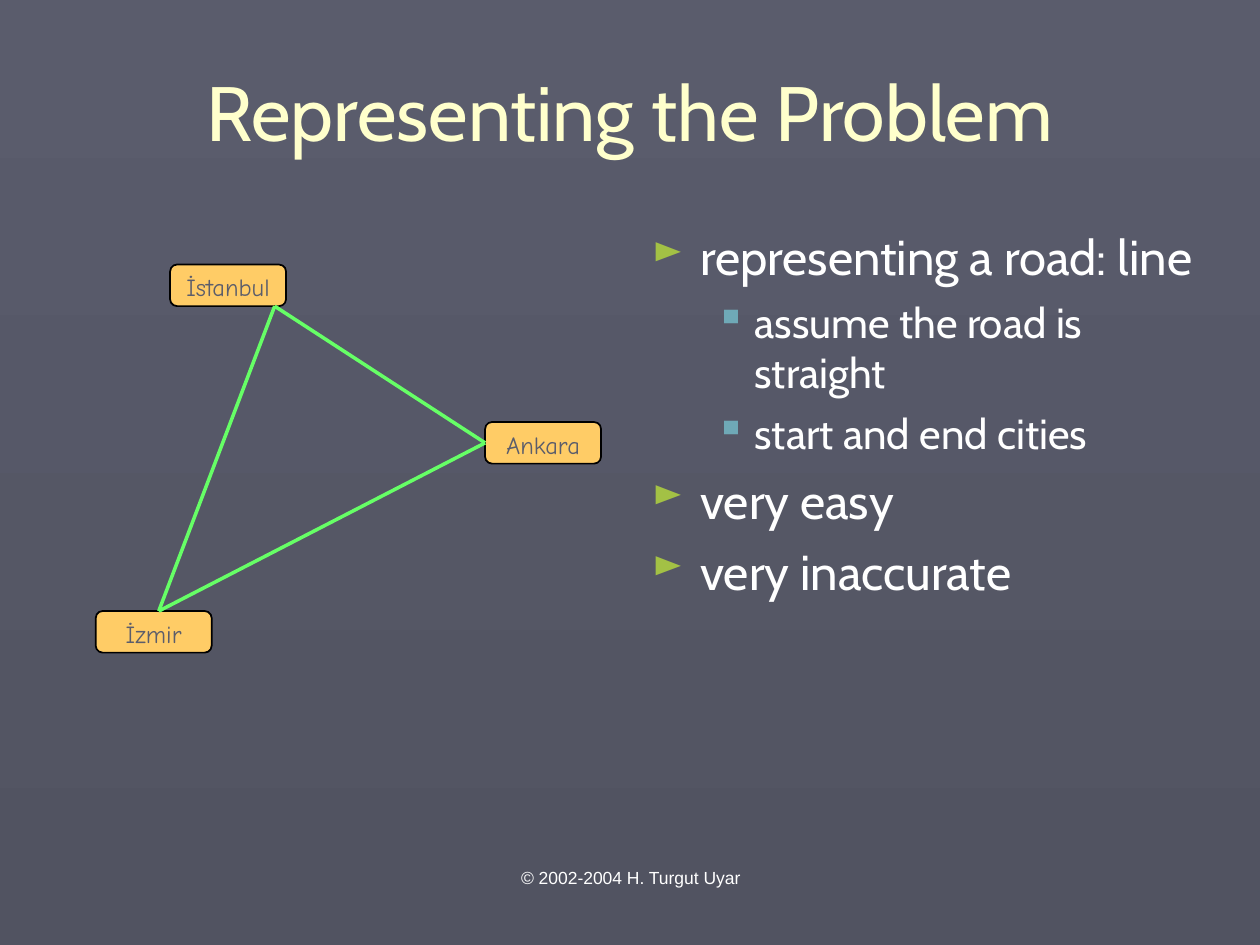
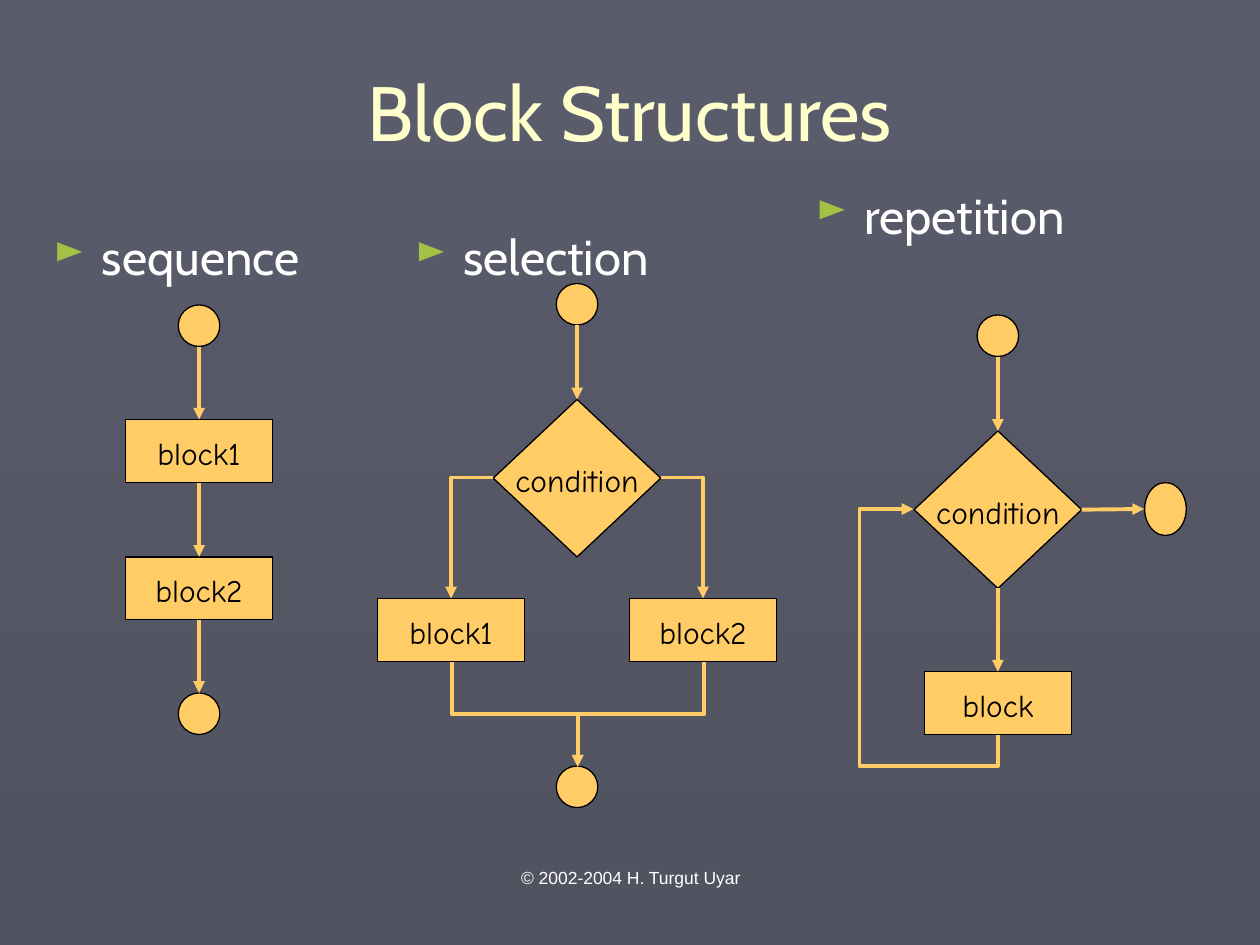
"""Builds two slides: a road map of cities and the three block structures."""
from lxml import etree
from pptx import Presentation
from pptx.dml.color import RGBColor
from pptx.enum import shapes, text
from pptx.oxml import ns
from pptx.util import Inches, Pt

hue = RGBColor.from_string
GOLD, GREEN, WHITE, BLACK = "FFCC66", "66FF66", "FFFFFF", "000000"
MID, TOP = text.MSO_ANCHOR.MIDDLE, text.MSO_ANCHOR.TOP
CENTER, LEFT = text.PP_ALIGN.CENTER, text.PP_ALIGN.LEFT
SHAPE, LINE = shapes.MSO_SHAPE, shapes.MSO_CONNECTOR

HEAD = dict(font="Cabin", size=44, color="FFFFCC", anchor=MID, align=CENTER)
FOOT = dict(font="Arial", size=10, color=WHITE, anchor=TOP, align=CENTER)
BODY = dict(font="Cabin", size=28, color=WHITE, anchor=TOP, align=LEFT)
CITY = dict(font="Comic Neue", size=14, color="5B5D6B", anchor=MID,
            align=CENTER, wrap=False, space=1.1)
NODE = {**CITY, "size": 18, "color": BLACK}
MARKS = [
    dict(size=28, before=7, left=0.38, hang=0.38, char="►", tint="A3C145", pct=80),
    dict(size=24, before=6, left=0.81, hang=0.31, char="▪", tint="6FA9B7", pct=100),
]


def write(box, rows, fmt, marks=None):
    frame = box.text_frame
    for key, val in dict(word_wrap=fmt.get("wrap", True),
                         vertical_anchor=fmt["anchor"]).items():
        setattr(frame, key, val)
    for num, (words, level) in enumerate(rows):
        para = frame.add_paragraph() if num else frame.paragraphs[0]
        size = fmt["size"]
        if marks:
            mark = marks[level]
            size = mark["size"]
            props = para._p.get_or_add_pPr()
            props.set("marL", str(Inches(mark["left"])))
            props.set("indent", str(-Inches(mark["hang"])))
            tint = etree.SubElement(props, ns.qn("a:buClr"))
            etree.SubElement(tint, ns.qn("a:srgbClr"), val=mark["tint"])
            etree.SubElement(props, ns.qn("a:buSzPct"), val=str(mark["pct"] * 1000))
            etree.SubElement(props, ns.qn("a:buChar"), char=mark["char"])
            para.level = level
            if num:
                para.space_before = Pt(mark["before"])
        para.alignment = fmt["align"]
        if "space" in fmt:
            para.line_spacing = fmt["space"]
        run = para.add_run()
        run.text = words
        for key, val in dict(name=fmt["font"], size=Pt(size)).items():
            setattr(run.font, key, val)
        run.font.color.rgb = hue(fmt["color"])


def link(page, kind, start, end, color, width, arrow=True):
    wire = page.shapes.add_connector(kind, *map(Inches, (*start, *end)))
    wire.line.color.rgb = hue(color)
    wire.line.width = Pt(width)
    if arrow:
        etree.SubElement(wire.line._get_or_add_ln(), ns.qn("a:tailEnd"), type="triangle")
    etree.SubElement(wire._element.spPr, ns.qn("a:effectLst"))
    return wire


deck = Presentation()
deck.slide_width, deck.slide_height = Inches(10), Inches(7.5)

pages = []
for title in ("Representing the Problem", "Block Structures"):
    page = deck.slides.add_slide(deck.slide_layouts[6])
    fill = page.background.fill
    fill.gradient()
    fill.gradient_angle = 270
    for stop, color, place in zip(fill.gradient_stops, ("5A5C6C", "515361"), (0, 1)):
        stop.color.rgb = hue(color)
        stop.position = place
    for words, spot, fmt in (
        (title, (0.33, 0.25, 9.34, 1.25), HEAD),
        ("© 2002-2004 H. Turgut Uyar", (3.42, 6.83, 3.17, 0.52), FOOT),
    ):
        write(page.shapes.add_textbox(*map(Inches, spot)), [(words, 0)], fmt)
    pages.append(page)
roads, flow = pages

points = [
    ("representing a road: line", 0),
    ("assume the road is straight", 1),
    ("start and end cities", 1),
    ("very easy", 0),
    ("very inaccurate", 0),
]
for page, spot, rows in (
    (roads, (5.08, 1.75, 4.59, 4.92), points),
    (flow, (0.33, 1.75, 3.21, 0.73), [("sequence", 0)]),
    (flow, (3.2, 1.75, 3.22, 0.81), [("selection", 0)]),
    (flow, (6.38, 1.42, 3.12, 0.75), [("repetition", 0)]),
):
    write(page.shapes.add_textbox(*map(Inches, spot)), rows, BODY, MARKS)

towns = {}
for name, left, top in (("İstanbul", 1.35, 2.1), ("Ankara", 3.85, 3.35), ("İzmir", 0.76, 4.85)):
    town = roads.shapes.add_shape(SHAPE.ROUNDED_RECTANGLE,
                                  *map(Inches, (left, top, 0.92, 0.33)))
    town.shadow.inherit = False
    town.fill.solid()
    town.fill.fore_color.rgb = hue(GOLD)
    town.line.color.rgb = hue(BLACK)
    town.line.width = Pt(1)
    write(town, [(name, 0)], CITY)
    towns[name] = town

north, east, south = (2.18, 2.43), (3.85, 3.51), (1.26, 4.85)
for start, end in ((north, east), (south, east), (north, south)):
    road = link(roads, LINE.STRAIGHT, start, end, GREEN, 2, False)
    if end == east:
        road.end_connect(towns["Ankara"], 1)

kinds = {
    "dot": (SHAPE.OVAL, 0.33, 0.33),
    "exit": (SHAPE.OVAL, 0.33, 0.42),
    "box": (SHAPE.RECTANGLE, 1.17, 0.5),
    "test": (SHAPE.DIAMOND, 1.33, 1.25),
}
nodes = {}
for key, kind, mid, top, label in (
    ("start1", "dot", 1.58, 2.42, ""),
    ("first", "box", 1.58, 3.33, "block1"),
    ("second", "box", 1.58, 4.42, "block2"),
    ("end1", "dot", 1.58, 5.5, ""),
    ("start2", "dot", 4.58, 2.25, ""),
    ("choice", "test", 4.58, 3.17, "condition"),
    ("yes", "box", 3.58, 4.75, "block1"),
    ("no", "box", 5.58, 4.75, "block2"),
    ("end2", "dot", 4.58, 6.08, ""),
    ("start3", "dot", 7.92, 2.5, ""),
    ("loop", "test", 7.92, 3.42, "condition"),
    ("work", "box", 7.92, 5.33, "block"),
    ("end3", "exit", 9.25, 3.83, ""),
):
    form, wide, high = kinds[kind]
    node = flow.shapes.add_shape(form, *map(Inches, (mid - wide / 2, top, wide, high)))
    node.shadow.inherit = False
    node.fill.solid()
    node.fill.fore_color.rgb = hue(GOLD)
    node.line.color.rgb = hue(BLACK)
    node.line.width = Pt(0.75)
    if label:
        write(node, [(label, 0)], NODE)
    nodes[key] = node

for head, tail, start, end, out, into in (
    ("start1", "first", (1.58, 2.75), (1.58, 3.33), None, 0),
    ("first", "second", (1.58, 3.83), (1.58, 4.42), 2, 0),
    ("second", "end1", (1.58, 4.92), (1.58, 5.5), 2, None),
    ("start2", "choice", (4.58, 2.58), (4.58, 3.17), None, 0),
    ("start3", "loop", (7.92, 2.83), (7.92, 3.42), None, 0),
    ("loop", "work", (7.92, 4.67), (7.92, 5.33), 2, 0),
    ("loop", "end3", (8.58, 4.04), (9.08, 4.04), 3, None),
):
    wire = link(flow, LINE.STRAIGHT, start, end, GOLD, 2.25)
    if out is not None:
        wire.begin_connect(nodes[head], out)
    if into is not None:
        wire.end_connect(nodes[tail], into)

for left, top, wide, high, turn, flip, bends, guides in (
    (3.58, 3.79, 0.33, 0.96, 180, "flipV", 2, ()),
    (5.25, 3.79, 0.33, 0.96, 0, "", 2, ()),
    (3.67, 5.17, 0.83, 1, 270, "flipH", 3, (0.5,)),
    (4.67, 5.17, 0.83, 1, 90, "", 3, (0.5,)),
    (6.69, 4.6, 1.79, 0.67, 270, "flipV", 4, (-0.14, 1.64)),
):
    wire = link(flow, LINE.ELBOW, (left, top), (left + wide, top + high), GOLD, 2.25)
    props = wire._element.spPr
    frame = props.find(ns.qn("a:xfrm"))
    frame.set("rot", str(turn * 60000))
    if flip:
        frame.set(flip, "1")
    shape = props.find(ns.qn("a:prstGeom"))
    shape.set("prst", f"bentConnector{bends}")
    for old in list(shape):
        shape.remove(old)
    guide = etree.SubElement(shape, ns.qn("a:avLst"))
    for num, part in enumerate(guides, 1):
        etree.SubElement(guide, ns.qn("a:gd"), name=f"adj{num}",
                         fmla=f"val {round(part * 100000)}")

deck.save("out.pptx")
